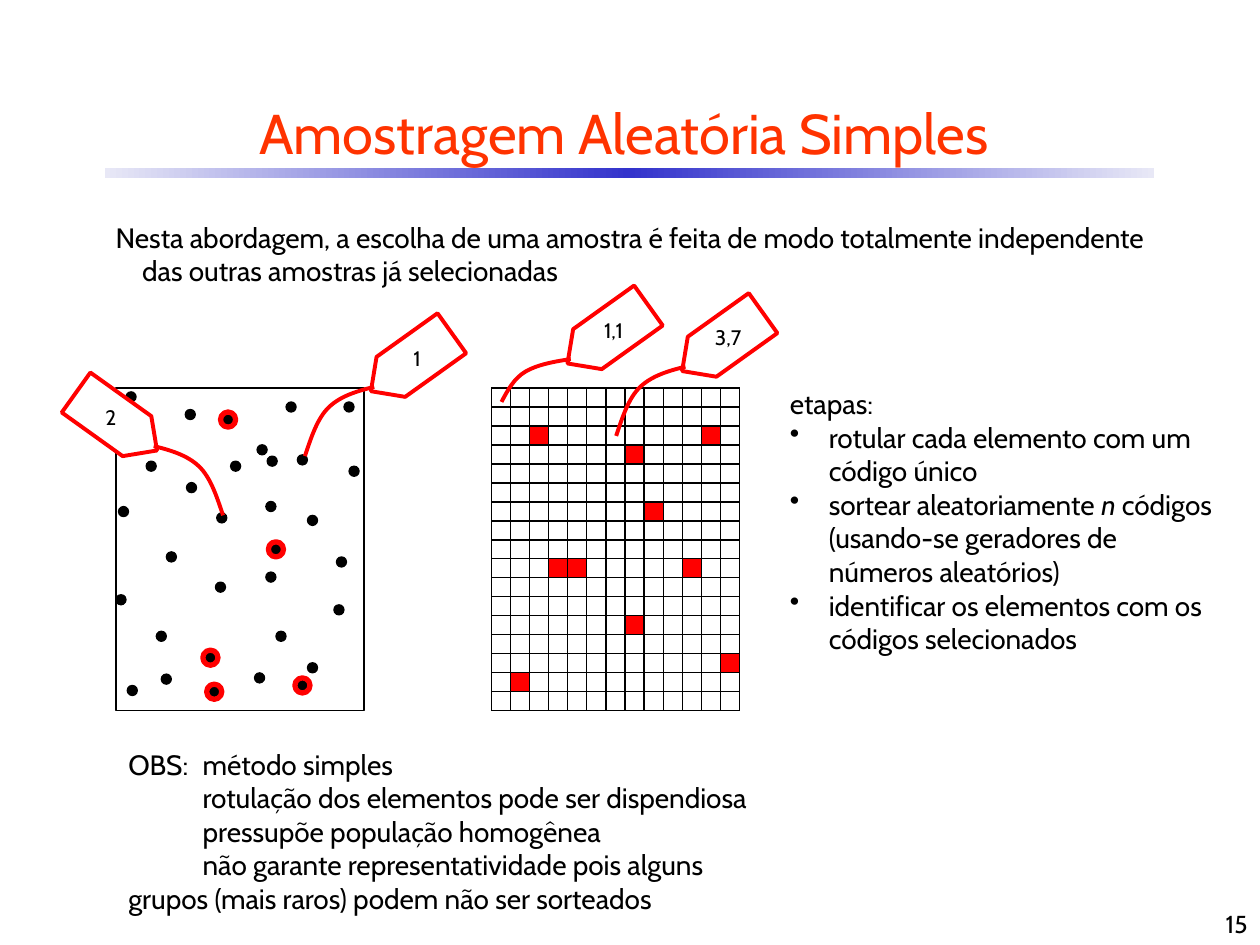
from copy import deepcopy

from lxml import etree
from pptx import Presentation
from pptx.dml.color import RGBColor
from pptx.enum.shapes import MSO_CONNECTOR, MSO_SHAPE
from pptx.enum.text import MSO_ANCHOR, PP_ALIGN
from pptx.oxml.ns import qn
from pptx.util import Emu, Pt

RECT, OVAL, PLATE = MSO_SHAPE.RECTANGLE, MSO_SHAPE.OVAL, MSO_SHAPE.PENTAGON
STRAIGHT = MSO_CONNECTOR.STRAIGHT
LEFT, CENTER, RIGHT = PP_ALIGN.LEFT, PP_ALIGN.CENTER, PP_ALIGN.RIGHT
TOP, MIDDLE, BOTTOM = MSO_ANCHOR.TOP, MSO_ANCHOR.MIDDLE, MSO_ANCHOR.BOTTOM

SCALE = 9144  # EMU per px, 100 px to the inch
FONT = "Cabin"
BLACK, WHITE, RED, ORANGE = "000000", "FFFFFF", "FF0000", "FF3300"
BAR_EDGE, BAR_MIDDLE = "E8E8F6", "3333CC"

# Dots relative to the population frame
DOTS = [
    (24, 58), (56, 75), (80, 99), (40, 130), (79, 154), (32, 193), (110, 226),
    (127, 193), (152, 218), (119, 146), (173, 172), (152, 101), (91, 58),
    (144, 53), (119, 90), (2, 94), (0, 164), (36, 227), (9, 236), (175, 134),
    (181, 11), (120, 54), (112, 45), (8, 3), (55, 17), (135, 11), (185, 62),
]
SAMPLED_DOTS = [(85, 21), (123, 124), (71, 210), (144, 232), (74, 237)]

# Drawn cells as (column, row)
COLUMNS, ROWS = 13, 17
SAMPLED_CELLS = [(2, 2), (7, 3), (3, 9), (8, 6), (12, 14),
                 (1, 15), (7, 12), (10, 9), (11, 2), (4, 9)]

# Tag wire from the sampled element to the tip, as shares of its width and drop
WIRE = [(0, 0), (0.09, 0.27), (0.18, 0.55), (0.35, 0.71),
        (0.52, 0.87), (0.76, 0.94), (1, 1)]


def px(length):
    return Emu(round(length * SCALE))


def color(value):
    return RGBColor.from_string(value)


def outline(shape, line, weight):
    shape.line.color.rgb = color(line)
    shape.line.width = Pt(weight)


def add_shape(page, kind, box, fill=None, line=BLACK, weight=0.75):
    shape = page.shapes.add_shape(kind, *map(px, box))
    shape.shadow.inherit = False
    if fill:
        shape.fill.solid()
        shape.fill.fore_color.rgb = color(fill)
    else:
        shape.fill.background()
    if line:
        outline(shape, line, weight)
    else:
        shape.line.fill.background()
    return shape


def add_line(page, start, end):
    line = page.shapes.add_connector(STRAIGHT, *map(px, start + end))
    outline(line, BLACK, 0.75)
    etree.SubElement(line._element.spPr, qn("a:effectLst"))


def add_text(page, box, paragraphs, size=16, fill=BLACK, align=LEFT, anchor=TOP,
             wrap=True, hang=0, bullets_from=None, tab=None):
    """Each paragraph is a string or a list of (text, italic) spans; \\n breaks a line."""
    frame = page.shapes.add_textbox(*map(px, box)).text_frame
    frame.word_wrap = wrap
    frame.vertical_anchor = anchor
    for index, content in enumerate(paragraphs):
        para = frame.add_paragraph() if index else frame.paragraphs[0]
        para.alignment = align
        properties = para._p.get_or_add_pPr()
        bulleted = bullets_from is not None and index >= bullets_from
        if hang and (bulleted or bullets_from is None):
            properties.set("marL", str(px(hang)))
            properties.set("indent", str(-px(hang)))
        if bulleted:
            etree.SubElement(properties, qn("a:buChar"), char="•")
        if tab:
            tabs = etree.SubElement(properties, qn("a:tabLst"))
            etree.SubElement(tabs, qn("a:tab"), pos=str(px(tab)), algn="l")
        spans = [(content, False)] if isinstance(content, str) else content
        for text, italic in spans:
            for number, piece in enumerate(text.split("\n")):
                if number:
                    para.add_line_break()
                span = para.add_run()
                span.text = piece
                span.font.name = FONT
                span.font.size = Pt(size)
                span.font.italic = italic
                span.font.color.rgb = color(fill)


def add_title(page, left, top):
    bar = add_shape(page, RECT, (left + 50, top + 66, 833, 8), line=None)
    bar.fill.gradient()
    bar.fill.gradient_angle = 0
    first, last = bar.fill._fill._gradFill.gsLst
    middle = deepcopy(first)
    first.addnext(middle)
    middle.set("pos", "50000")
    last.set("pos", "100000")
    for stop, value in zip(bar.fill.gradient_stops, (BAR_EDGE, BAR_MIDDLE, BAR_EDGE)):
        stop.color.rgb = color(value)
    add_text(page, (left, top, 925, 75), ["Amostragem Aleatória Simples"],
             size=32, fill=ORANGE, align=CENTER, anchor=MIDDLE)


def add_population(page, left, top, width, height):
    add_shape(page, RECT, (left, top, width, height))
    for x, y in DOTS + SAMPLED_DOTS:
        add_shape(page, OVAL, (left + x, top + y, 8, 8), fill=BLACK)
    for x, y in SAMPLED_DOTS:
        add_shape(page, OVAL, (left + x - 2, top + y - 2, 12, 12), line=RED, weight=3)


def add_grid(page, left, top, width, height):
    cell_width, cell_height = width / COLUMNS, height / ROWS
    for row in range(ROWS + 1):
        y = top + row * cell_height
        add_line(page, (left, y), (left + width, y))
    for column in range(COLUMNS + 1):
        x = left + column * cell_width
        add_line(page, (x, top), (x, top + height))
    for column, row in SAMPLED_CELLS:
        add_shape(page, RECT, (left + column * cell_width, top + row * cell_height,
                               cell_width, cell_height), fill=RED)


def add_tag(page, left, top, label, drop=55, mirrored=False):
    width, height = 79, 39

    def across(x):
        return left + (width - x if mirrored else x)

    plate = add_shape(page, PLATE, (left, top, width, height),
                      fill=WHITE, line=RED, weight=2.25)
    plate.rotation = 35.6 if mirrored else 144.4

    # Wire: every three points after the start make one curve
    points = [(px(across(55 * x - 45)), px(top + height + drop * (1 - y)))
              for x, y in WIRE]
    builder = page.shapes.build_freeform(*points[0])
    builder.add_line_segments(points[1:], close=False)
    wire = builder.convert_to_shape()
    wire.shadow.inherit = False
    wire.fill.background()
    outline(wire, RED, 2.25)
    outline_path = next(wire._element.iter(qn("a:path")))
    segments = outline_path.findall(qn("a:lnTo"))
    for start in range(0, len(segments), 3):
        curve = etree.SubElement(outline_path, qn("a:cubicBezTo"))
        for segment in segments[start:start + 3]:
            curve.append(segment[0])
            outline_path.remove(segment)

    add_text(page, (across(44) - 22, top + 1, 44, 30), [label],
             size=12, align=CENTER, wrap=False)


def main():
    deck = Presentation()
    deck.slide_width, deck.slide_height = px(1000), px(750)
    page = deck.slides.add_slide(deck.slide_layouts[6])

    add_title(page, 33, 67)
    add_text(page, (82, 170, 851, 64), [
        "Nesta abordagem, a escolha de uma amostra é feita de modo totalmente "
        "independente das outras amostras já selecionadas"], hang=21)

    # Diagrams and their tags
    add_population(page, 92, 308, 197, 256)
    add_grid(page, 390, 308, 197, 256)
    add_tag(page, 287, 268, "1")
    add_tag(page, 53, 315, "2", mirrored=True)
    add_tag(page, 534, 252, "3,7")
    add_tag(page, 443, 246, "1,1", drop=34)

    # Steps
    add_text(page, (617, 302, 364, 226), [
        "etapas:",
        "rotular cada elemento com um código único",
        [("sortear aleatoriamente ", False), ("n", True),
         (" códigos (usando-se geradores de números aleatórios)", False)],
        "identificar os elementos com os códigos selecionados",
    ], hang=31, bullets_from=1)

    # Remarks and page number
    add_text(page, (92, 588, 583, 145), [
        "OBS:\tmétodo simples",
        "\trotulação dos elementos pode ser dispendiosa",
        "\tpressupõe população homogênea",
        "\tnão garante representatividade pois alguns\n"
        "grupos (mais raros) podem não ser sorteados",
    ], tab=59)
    add_text(page, (792, 700, 208, 50), ["15"], size=14, align=RIGHT, anchor=BOTTOM)

    deck.save("out.pptx")


if __name__ == "__main__":
    main()
